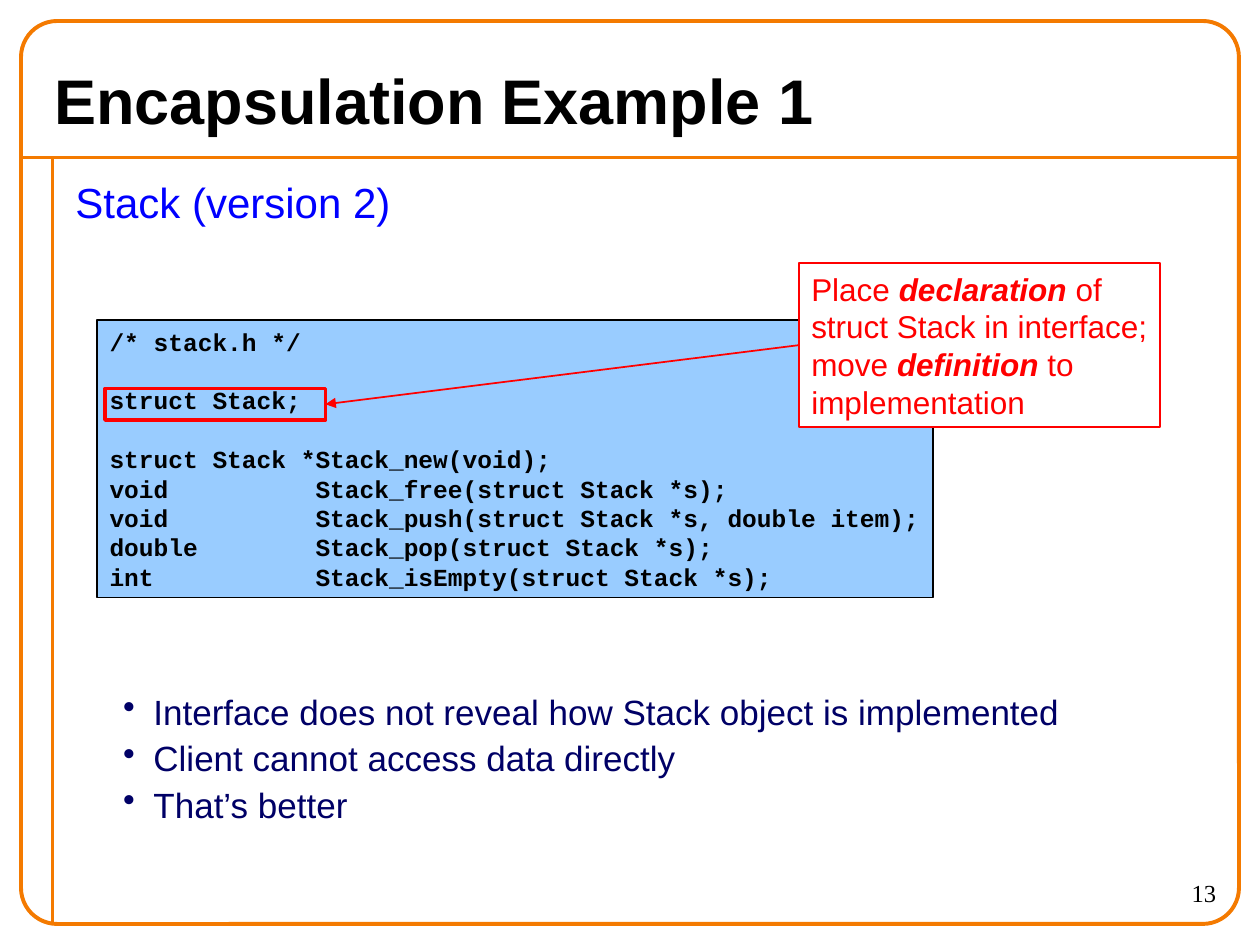
from dataclasses import dataclass

from lxml import etree
from pptx import Presentation
from pptx.dml.color import RGBColor
from pptx.enum.shapes import MSO_CONNECTOR, MSO_SHAPE
from pptx.enum.text import MSO_ANCHOR, PP_ALIGN
from pptx.oxml.ns import qn
from pptx.util import Pt

RECT, ROUND_RECT = MSO_SHAPE.RECTANGLE, MSO_SHAPE.ROUNDED_RECTANGLE
STRAIGHT = MSO_CONNECTOR.STRAIGHT
TOP, MIDDLE = MSO_ANCHOR.TOP, MSO_ANCHOR.MIDDLE
LEFT, RIGHT = PP_ALIGN.LEFT, PP_ALIGN.RIGHT
SIDE_LEFT, SIDE_RIGHT = 1, 3


@dataclass(frozen=True)
class Theme:
    frame: str = "F47A00"
    ink: str = "000000"
    heading: str = "0000FF"
    bullet: str = "000066"
    accent: str = "FF0000"
    code_fill: str = "99CCFF"
    paper: str = "FFFFFF"
    sans: str = "Arial"
    mono: str = "Courier New"
    serif: str = "Times New Roman"
    title_size: int = 36
    heading_size: int = 24
    bullet_size: int = 20
    callout_size: int = 18
    code_size: int = 14
    leading: float = 1.2


T = Theme()

TITLE = dict(name=T.sans, size=T.title_size, color=T.ink, bold=True)
HEADING = dict(name=T.sans, size=T.heading_size, color=T.heading)
BULLET = dict(name=T.sans, size=T.bullet_size, color=T.bullet)
NUMBER = dict(name=T.serif, size=T.code_size, color=T.ink)
CODE = dict(name=T.mono, size=T.code_size, color=T.ink, bold=True)
CALLOUT = dict(name=T.sans, size=T.callout_size, color=T.accent)
STRONG = dict(CALLOUT, bold=True, italic=True)

BULLETS = [
    "Interface does not reveal how Stack object is implemented",
    "Client cannot access data directly",
    "That’s better",
]
# Each block of code is set off by one line of space
CODE_BLOCKS = [
    ["/* stack.h */"],
    ["struct Stack;"],
    [
        "struct Stack *Stack_new(void);",
        "void          Stack_free(struct Stack *s);",
        "void          Stack_push(struct Stack *s, double item);",
        "double        Stack_pop(struct Stack *s);",
        "int           Stack_isEmpty(struct Stack *s);",
    ],
]
CALLOUT_LINES = [
    [("Place ", CALLOUT), ("declaration", STRONG), (" of", CALLOUT)],
    [("struct Stack in interface;", CALLOUT)],
    [("move ", CALLOUT), ("definition", STRONG), (" to", CALLOUT)],
    [("implementation", CALLOUT)],
]


def rgb(color):
    return RGBColor.from_string(color)


def set_line(line, color, width):
    line.color.rgb = rgb(color)
    line.width = Pt(width)


def add_run(p, text, fmt):
    r = p.add_run()
    r.text = text
    for key, value in fmt.items():
        if key == "color":
            r.font.color.rgb = rgb(value)
        else:
            setattr(r.font, key, Pt(value) if key == "size" else value)


def write(sp, lines, anchor=TOP, align=LEFT, wrap=True):
    """Fill a shape; lines is a list of (runs, space before)."""
    tf = sp.text_frame
    tf.word_wrap = wrap
    tf.vertical_anchor = anchor
    for i, (runs, before) in enumerate(lines):
        p = tf.add_paragraph() if i else tf.paragraphs[0]
        p.alignment = align
        p.space_before = Pt(before)
        p.line_spacing = Pt(runs[0][1]["size"] * T.leading)
        for text, fmt in runs:
            add_run(p, text, fmt)


def add_text(s, box, lines, **layout):
    sp = s.shapes.add_textbox(*map(Pt, box))
    write(sp, lines, **layout)
    return sp


def add_box(s, kind, box, color, width, fill=None):
    sp = s.shapes.add_shape(kind, *map(Pt, box))
    sp.shadow.inherit = False
    if fill:
        sp.fill.solid()
        sp.fill.fore_color.rgb = rgb(fill)
    else:
        sp.fill.background()
    set_line(sp.line, color, width)
    return sp


def add_line(s, ends, color, width):
    line = s.shapes.add_connector(STRAIGHT, *map(Pt, ends))
    set_line(line.line, color, width)
    etree.SubElement(line._element.spPr, qn("a:effectLst"))
    return line


def add_arrow(s, start, start_side, end, end_side, color, width):
    arrow = add_line(s, (0, 0, 0, 0), color, width)
    arrow.begin_connect(start, start_side)
    arrow.end_connect(end, end_side)
    etree.SubElement(arrow.line._get_or_add_ln(), qn("a:tailEnd"), type="triangle")


def add_bullets(s, box, items):
    sp = add_text(s, box, [([(item, BULLET)], 2.5 if i else 0)
                           for i, item in enumerate(items)])
    for p in sp.text_frame.paragraphs:
        pPr = p._p.get_or_add_pPr()
        pPr.set("marL", str(Pt(44.6)))
        pPr.set("indent", str(Pt(-17.3)))
        etree.SubElement(pPr, qn("a:buChar"), char="•")


def add_frame(s):
    add_line(s, (12, 90, 708, 90), T.frame, 2.25)
    add_line(s, (30, 90, 30, 528), T.frame, 2.25)
    border = add_box(s, ROUND_RECT, (12, 12, 696, 516), T.frame, 2.25)
    border.adjustments[0] = 0.04


def main():
    prs = Presentation()
    prs.slide_width, prs.slide_height = Pt(720), Pt(540)
    s = prs.slides.add_slide(prs.slide_layouts[6])

    # Frame, title and body text
    add_frame(s)
    add_text(s, (24, 30, 672, 54), [([("Encapsulation Example 1", TITLE)], 0)],
             anchor=MIDDLE)
    add_text(s, (36, 97.5, 666, 36), [([("Stack (version 2)", HEADING)], 0)])
    add_bullets(s, (36, 391, 666, 86), BULLETS)
    add_text(s, (630, 498, 72, 30), [([("13", NUMBER)], 0)], align=RIGHT)

    # Code listing
    code = add_box(s, RECT, (55.5, 183, 477.5, 158.5), T.ink, 1, T.code_fill)
    gap = T.code_size * T.leading
    write(code, [([(line, CODE)], gap if b and not i else 0)
                 for b, block in enumerate(CODE_BLOCKS)
                 for i, line in enumerate(block)],
          anchor=MIDDLE, wrap=False)

    # Callout pointing at the declaration
    callout = add_box(s, RECT, (456.5, 150.5, 206.5, 93.5), T.accent, 1, T.paper)
    write(callout, [(runs, 0) for runs in CALLOUT_LINES], anchor=MIDDLE, wrap=False)
    highlight = add_box(s, RECT, (60, 222, 126, 18), T.accent, 2)
    add_arrow(s, callout, SIDE_LEFT, highlight, SIDE_RIGHT, T.accent, 1)

    prs.save("out.pptx")


if __name__ == "__main__":
    main()
